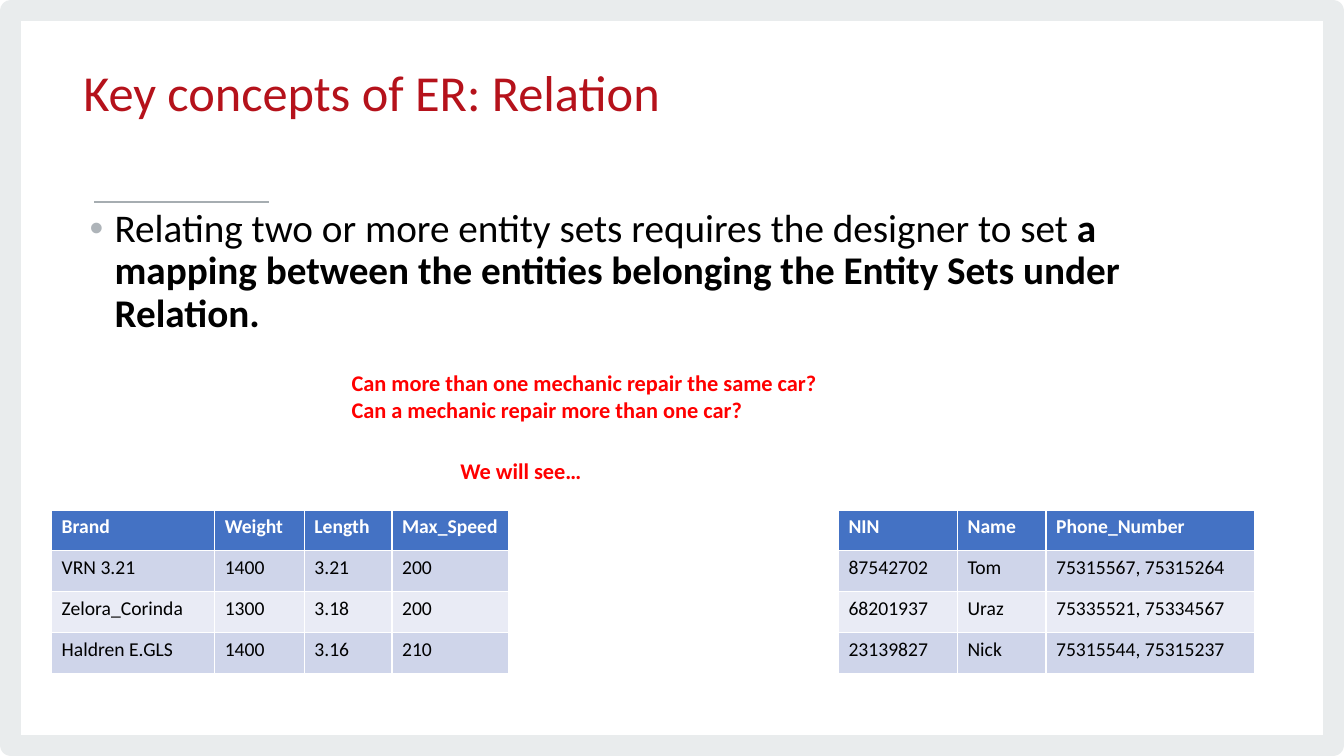
"""Build a slide on relations in the ER model, with two sample entity tables."""
from dataclasses import dataclass

from lxml import etree
from pptx import Presentation
from pptx.dml.color import RGBColor
from pptx.enum.shapes import MSO_CONNECTOR, MSO_SHAPE
from pptx.enum.text import MSO_ANCHOR
from pptx.oxml.ns import qn
from pptx.slide import Slide
from pptx.util import Cm, Pt

RECTANGLE = MSO_SHAPE.RECTANGLE
STRAIGHT = MSO_CONNECTOR.STRAIGHT
TOP = MSO_ANCHOR.TOP
FONT = "Calibri"
ROW_HEIGHT = 1.03
HEADER_FILL = "4472C4"
BAND_FILLS = ("CFD5EA", "E9EBF5")


@dataclass(frozen=True)
class Span:
    text: str
    size: float
    color: str
    bold: bool = False


@dataclass(frozen=True)
class TextBlock:
    left: float
    top: float
    width: float
    height: float
    paragraphs: list[list[Span]]
    inset_top: float = 0.13
    line_spacing: float | Pt | None = None
    bullet_color: str | None = None


@dataclass(frozen=True)
class EntityTable:
    left: float
    top: float
    widths: list[float]
    rows: list[list[str]]


def rgb(color: str) -> RGBColor:
    return RGBColor.from_string(color)


def add_span(para, span: Span) -> None:
    run = para.add_run()
    run.text = span.text
    formats = {"name": FONT, "size": Pt(span.size), "bold": span.bold}
    for name, value in formats.items():
        setattr(run.font, name, value)
    run.font.color.rgb = rgb(span.color)


def add_bullet(para, color: str) -> None:
    properties = para._p.get_or_add_pPr()
    properties.set("marL", str(Cm(0.63)))
    properties.set("indent", str(Cm(-0.63)))
    bullet_color = etree.SubElement(properties, qn("a:buClr"))
    etree.SubElement(bullet_color, qn("a:srgbClr"), val=color)
    etree.SubElement(properties, qn("a:buFont"), typeface="Arial")
    etree.SubElement(properties, qn("a:buChar"), char="•")


def add_text(page: Slide, block: TextBlock) -> None:
    box = page.shapes.add_textbox(
        Cm(block.left), Cm(block.top), Cm(block.width), Cm(block.height))
    frame = box.text_frame
    formats = {"word_wrap": True, "vertical_anchor": TOP,
               "margin_top": Cm(block.inset_top)}
    for name, value in formats.items():
        setattr(frame, name, value)
    for index, spans in enumerate(block.paragraphs):
        para = frame.add_paragraph() if index else frame.paragraphs[0]
        if block.line_spacing:
            para.line_spacing = block.line_spacing
        if block.bullet_color:
            add_bullet(para, block.bullet_color)
        for span in spans:
            add_span(para, span)


def add_entity_table(page: Slide, entity: EntityTable) -> None:
    table = page.shapes.add_table(
        len(entity.rows), len(entity.widths), Cm(entity.left), Cm(entity.top),
        Cm(sum(entity.widths)), Cm(ROW_HEIGHT * len(entity.rows))).table
    for column, width in zip(table.columns, entity.widths):
        column.width = Cm(width)
    for row_index, values in enumerate(entity.rows):
        header = row_index == 0
        fill = HEADER_FILL if header else BAND_FILLS[(row_index - 1) % 2]
        color = "FFFFFF" if header else "000000"
        for column_index, value in enumerate(values):
            cell = table.cell(row_index, column_index)
            cell.fill.solid()
            cell.fill.fore_color.rgb = rgb(fill)
            add_span(cell.text_frame.paragraphs[0], Span(value, 14, color, header))


def add_frame(page: Slide) -> None:
    border = page.shapes.add_shape(
        RECTANGLE, Cm(0.27), Cm(0.27), Cm(33.33), Cm(18.51))
    border.shadow.inherit = False
    border.fill.background()
    border.line.color.rgb = rgb("E9ECED")
    border.line.width = Pt(15.11)
    etree.SubElement(border.line._get_or_add_ln(), qn("a:round"))


def add_title_rule(page: Slide) -> None:
    rule = page.shapes.add_connector(
        STRAIGHT, Cm(2.37), Cm(5.09), Cm(6.78), Cm(5.09))
    rule.line.color.rgb = rgb("A6ADB1")
    rule.line.width = Pt(1.33)
    etree.SubElement(rule._element.spPr, qn("a:effectLst"))


TEXTS = [
    TextBlock(1.85, 1.47, 21.03, 3.23,
              [[Span("Key concepts of ER: Relation", 36, "B5121B")]],
              inset_top=0.38, line_spacing=Pt(34.7)),
    TextBlock(2.01, 5.13, 28.32, 0.89,
              [[Span("Relating two or more entity sets requires the designer "
                     "to set ", 28, "000000"),
                Span("a mapping between the entities belonging the Entity Sets "
                     "under Relation.", 28, "000000", True)]],
              line_spacing=0.9, bullet_color="AEB4B9"),
    TextBlock(8.61, 9.17, 12.78, 1.63,
              [[Span("Can more than one mechanic repair the same car?",
                     16, "FF0000", True)],
               [Span("Can a mechanic repair more than one car?",
                     16, "FF0000", True)]]),
    TextBlock(11.35, 11.4, 12.78, 0.94,
              [[Span("We will see…", 16, "FF0000", True)]]),
]

TABLES = [
    EntityTable(1.3, 12.85, [4.11, 2.26, 2.21, 2.95], [
        ["Brand", "Weight", "Length", "Max_Speed"],
        ["VRN 3.21", "1400", "3.21", "200"],
        ["Zelora_Corinda", "1300", "3.18", "200"],
        ["Haldren E.GLS", "1400", "3.16", "210"]]),
    EntityTable(21.13, 12.85, [3, 2.23, 5.25], [
        ["NIN", "Name", "Phone_Number"],
        ["87542702", "Tom", "75315567, 75315264"],
        ["68201937", "Uraz", "75335521, 75334567"],
        ["23139827", "Nick", "75315544, 75315237"]]),
]


def main() -> None:
    deck = Presentation()
    deck.slide_width = Cm(33.87)
    deck.slide_height = Cm(19.05)
    page = deck.slides.add_slide(deck.slide_layouts[6])
    add_frame(page)
    add_title_rule(page)
    for block in TEXTS:
        add_text(page, block)
    for entity in TABLES:
        add_entity_table(page, entity)
    deck.save("out.pptx")


if __name__ == "__main__":
    main()
